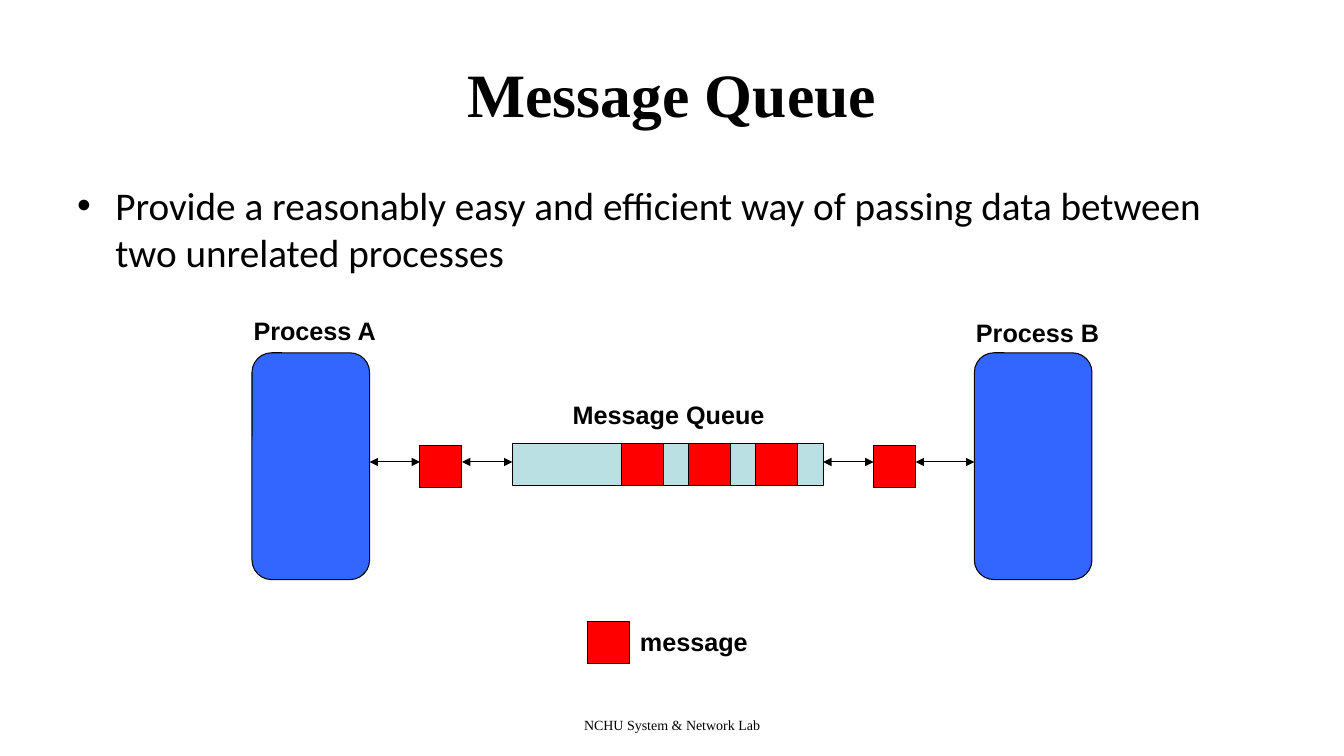
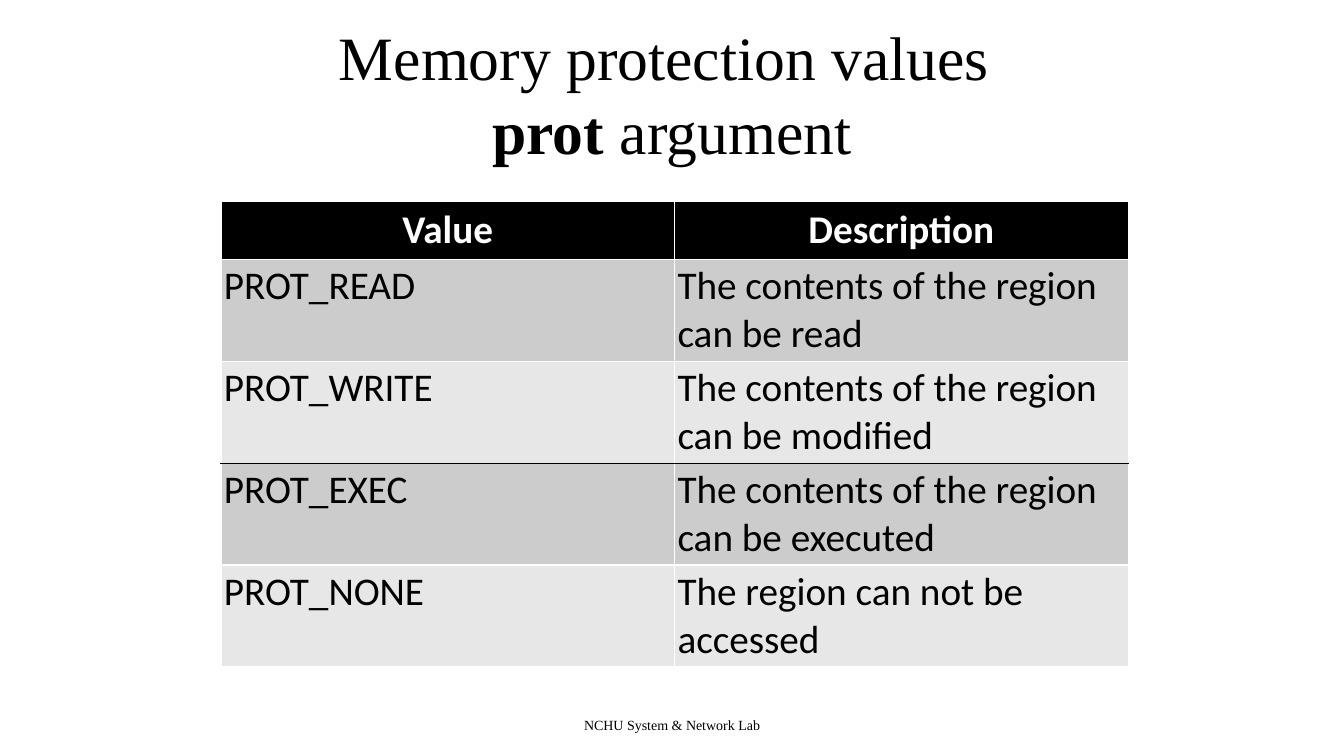
from dataclasses import dataclass

from lxml.etree import SubElement
from pptx import Presentation
from pptx.dml.color import RGBColor
from pptx.enum.shapes import MSO_CONNECTOR, MSO_SHAPE
from pptx.enum.text import MSO_ANCHOR, MSO_AUTO_SIZE, PP_ALIGN
from pptx.oxml.ns import qn
from pptx.util import Inches, Pt


@dataclass(frozen=True)
class Theme:
    ink: str = "000000"
    paper: str = "FFFFFF"
    process: str = "3366FF"
    queue: str = "BBE0E3"
    message: str = "FF0000"
    bands: tuple = ("CCCCCC", "E7E7E7")
    serif: str = "Times New Roman"
    sans: str = "Calibri"
    label: str = "Arial"
    title_size: int = 44
    body_size: int = 28
    label_size: int = 18
    footer_size: int = 10
    outline: float = 0.75


THEME = Theme()
COLUMNS, ROWS = 160, 90
FOOTER = "NCHU System & Network Lab"
MESSAGE_SIDE = 5


def cells(count):
    """Length of a number of grid cells; the grid is square, 12 cells to the inch."""
    return Inches(count / 12)


def style(font, name, size, color=THEME.ink, bold=None):
    font.name = name
    font.size = Pt(size)
    font.color.rgb = RGBColor.from_string(color)
    font.bold = bold


class SlideBuilder:
    """Draws on the current slide, with places given in grid columns and rows."""

    def __init__(self, theme):
        self.theme = theme
        self.deck = Presentation()
        self.deck.slide_width = cells(COLUMNS)
        self.deck.slide_height = cells(ROWS)
        self.page = None

    def new_page(self):
        self.page = self.deck.slides.add_slide(self.deck.slide_layouts[6])
        footer = self.text_box(46, 84.75, 68, 2.9).paragraphs[0]
        footer.text = FOOTER
        footer.alignment = PP_ALIGN.CENTER
        style(footer.font, self.theme.serif, self.theme.footer_size)

    def text_box(self, column, row, width, height):
        box = self.page.shapes.add_textbox(*map(cells, (column, row, width, height)))
        box.text_frame.word_wrap = True
        return box.text_frame

    def title(self, column, width, *spans):
        """Add a title made of (text, bold) spans; a vertical tab breaks the line."""
        frame = self.text_box(column, 3.6, width, 15)
        frame.vertical_anchor = MSO_ANCHOR.MIDDLE
        para = frame.paragraphs[0]
        para.alignment = PP_ALIGN.CENTER
        style(para.font, self.theme.serif, self.theme.title_size)
        for text, bold in spans:
            for index, line in enumerate(text.split("\v")):
                if index:
                    para.add_line_break()
                if line:
                    span = para.add_run()
                    span.text = line
                    span.font.bold = bold

    def bullet(self, text):
        para = self.text_box(8, 21, 144, 59.4).paragraphs[0]
        para.text = text
        properties = para._p.get_or_add_pPr()
        properties.set("marL", str(Inches(0.38)))
        properties.set("indent", str(-Inches(0.38)))
        SubElement(properties, qn("a:buFont"), typeface=self.theme.label)
        SubElement(properties, qn("a:buChar"), char="•")
        style(para.font, self.theme.sans, self.theme.body_size)

    def label(self, text, column, row, width):
        frame = self.text_box(column, row, width, 4.8)
        frame.auto_size = MSO_AUTO_SIZE.SHAPE_TO_FIT_TEXT
        para = frame.paragraphs[0]
        para.text = text
        style(para.font, self.theme.label, self.theme.label_size, bold=True)

    def block(self, kind, fill, column, row, width, height):
        shape = self.page.shapes.add_shape(
            kind, *map(cells, (column, row, width, height)))
        shape.shadow.inherit = False
        shape.fill.solid()
        shape.fill.fore_color.rgb = RGBColor.from_string(fill)
        self.outline(shape)

    def outline(self, shape):
        shape.line.color.rgb = RGBColor.from_string(self.theme.ink)
        shape.line.width = Pt(self.theme.outline)

    def process(self, column):
        self.block(MSO_SHAPE.ROUNDED_RECTANGLE, self.theme.process, column, 42, 14, 27)

    def message(self, column, row):
        self.block(MSO_SHAPE.RECTANGLE, self.theme.message,
                   column, row, MESSAGE_SIDE, MESSAGE_SIDE)

    def double_arrow(self, start, end, row):
        arrow = self.page.shapes.add_connector(
            MSO_CONNECTOR.STRAIGHT, *map(cells, (start, row, end, row)))
        self.outline(arrow)
        properties = arrow._element.spPr
        line = properties.find(qn("a:ln"))
        for end_tag in ("a:headEnd", "a:tailEnd"):
            SubElement(line, qn(end_tag), type="triangle")
        SubElement(properties, qn("a:effectLst"))

    def table(self, rows, column, row, width, heights, ruled_after):
        """Add a two-tone table with a black rule below the row ruled_after."""
        count = len(rows[0])
        frame = self.page.shapes.add_table(
            len(rows), count, *map(cells, (column, row, width, sum(heights))))
        table = frame.table
        table.horz_banding = False
        for table_column in table.columns:
            table_column.width = cells(width / count)
        for index, (texts, height) in enumerate(zip(rows, heights)):
            table.rows[index].height = cells(height)
            top = self.theme.ink if index == ruled_after + 1 else self.theme.paper
            bottom = self.theme.ink if index == ruled_after else self.theme.paper
            for cell, text in zip(table.rows[index].cells, texts):
                self.borders(cell, top, bottom)
                self.fill_cell(cell, text, index)

    def borders(self, cell, top, bottom):
        properties = cell._tc.get_or_add_tcPr()
        paper = self.theme.paper
        for tag, color in (("a:lnL", paper), ("a:lnR", paper),
                           ("a:lnT", top), ("a:lnB", bottom)):
            line = SubElement(properties, qn(tag), w=str(Pt(1)))
            fill = SubElement(line, qn("a:solidFill"))
            SubElement(fill, qn("a:srgbClr"), val=color)

    def fill_cell(self, cell, text, index):
        header = index == 0
        fill = self.theme.ink if header else self.theme.bands[(index - 1) % 2]
        cell.fill.solid()
        cell.fill.fore_color.rgb = RGBColor.from_string(fill)
        cell.margin_left = cell.margin_right = Inches(0.1 if header else 0.03)
        cell.margin_top = cell.margin_bottom = Inches(0.05 if header else 0.03)
        cell.text = text
        para = cell.text_frame.paragraphs[0]
        para.alignment = PP_ALIGN.CENTER if header else PP_ALIGN.LEFT
        style(para.font, self.theme.sans, self.theme.body_size,
              self.theme.paper if header else self.theme.ink, header)


def message_queue_page(builder):
    builder.new_page()
    builder.title(8, 144, ("Message Queue", True))
    builder.bullet("Provide a reasonably easy and efficient way of passing data "
                   "between two unrelated processes")
    for name, column, label_row in (("Process A", 30, 37), ("Process B", 116, 37.2)):
        builder.process(column)
        builder.label(name, column - 1, label_row, 22)

    queue_row = 52.8
    builder.block(MSO_SHAPE.RECTANGLE, builder.theme.queue,
                  61, queue_row, 37, MESSAGE_SIDE)
    builder.label("Message Queue", 67, 47, 26)
    for column in range(74, 91, 8):
        builder.message(column, queue_row)

    for left, column, right in ((44, 50, 61), (98, 104, 116)):
        builder.message(column, 53)
        builder.double_arrow(left, column, 55)
        builder.double_arrow(column + MESSAGE_SIDE, right, 55)

    builder.message(70, 74)
    builder.label("message", 75, 74, 17)


def memory_protection_page(builder):
    builder.new_page()
    rows = (
        ("Value", "Description"),
        ("PROT_READ", "The contents of the region can be read"),
        ("PROT_WRITE", "The contents of the region can be modified"),
        ("PROT_EXEC", "The contents of the region can be executed"),
        ("PROT_NONE", "The region can not be accessed"),
    )
    builder.table(rows, 26.3, 24, 108, [6.9] + [12.12] * 4, ruled_after=2)
    builder.title(26, 108, ("Memory protection values \v", False),
                  ("prot", True), (" argument", False))


def main():
    builder = SlideBuilder(THEME)
    message_queue_page(builder)
    memory_protection_page(builder)
    builder.deck.save("out.pptx")


if __name__ == "__main__":
    main()
